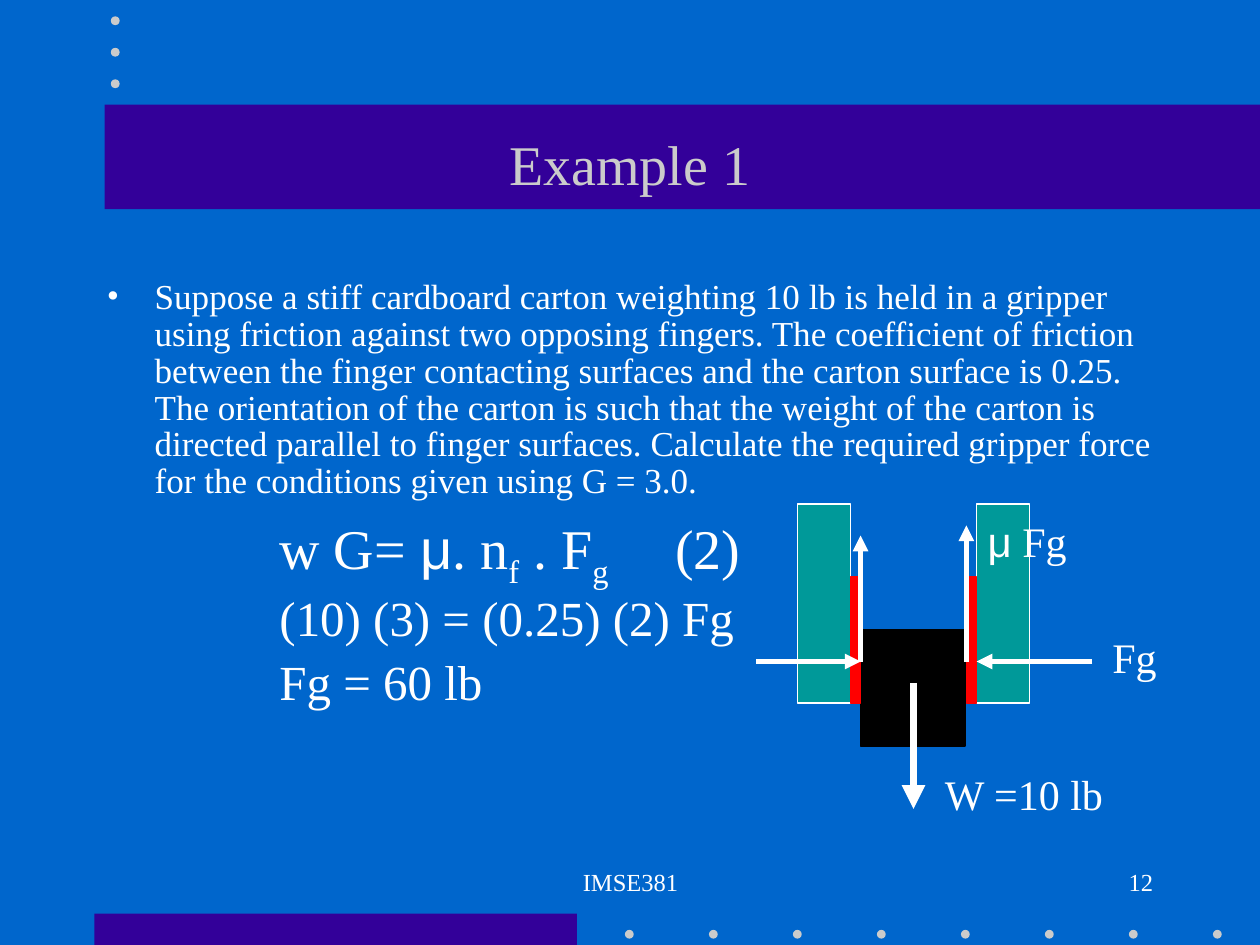
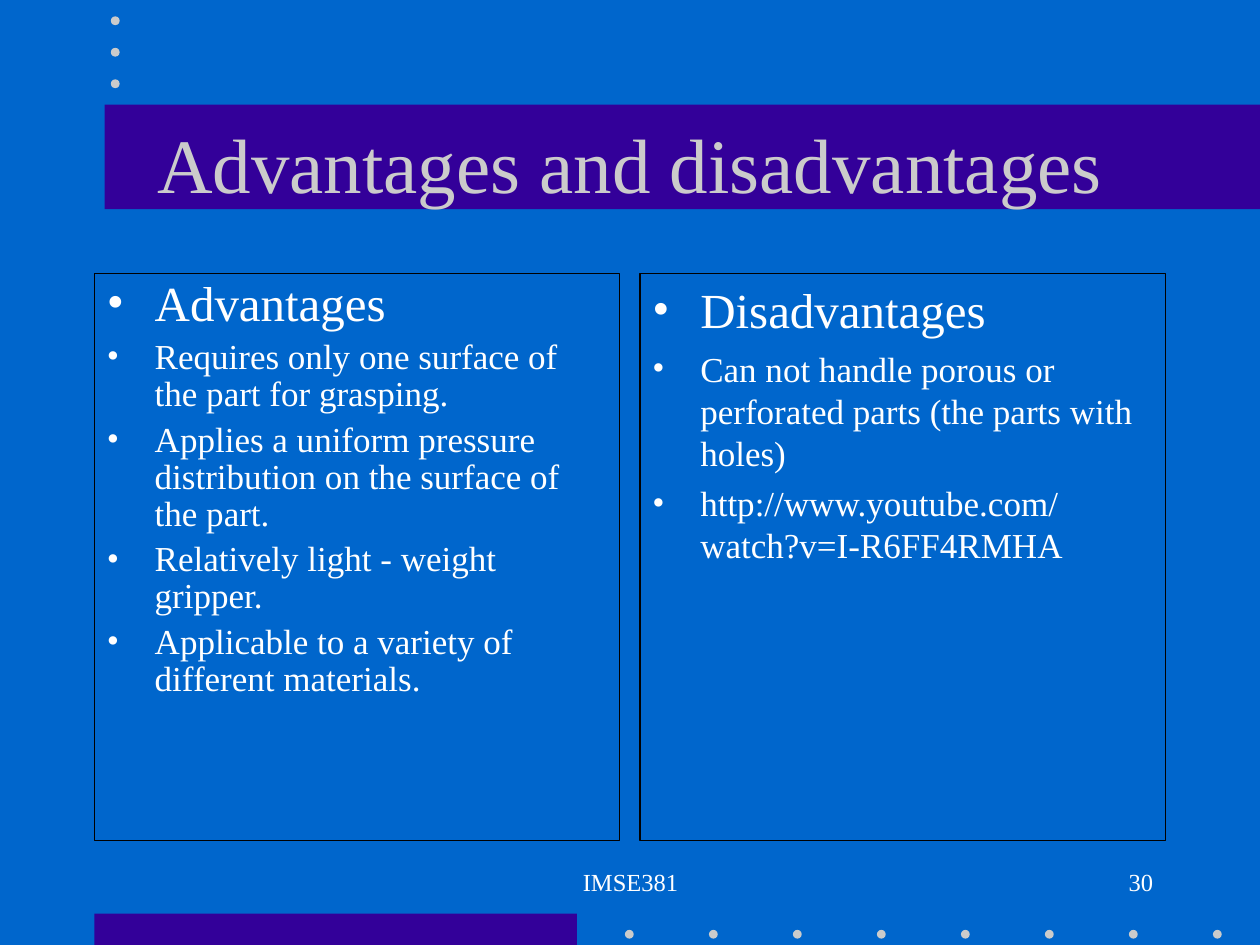
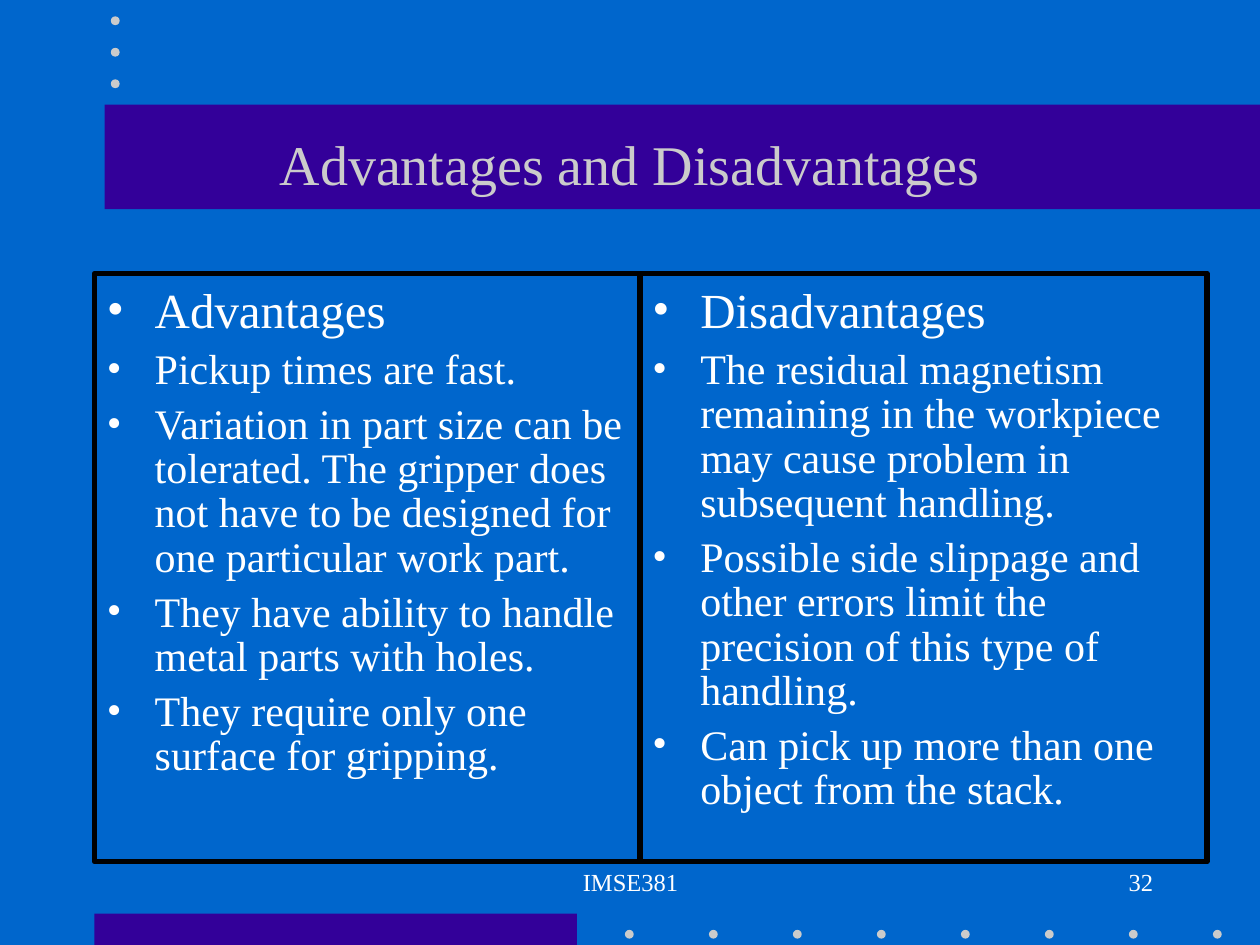
from lxml import etree
from pptx import Presentation
from pptx.dml.color import RGBColor
from pptx.enum.shapes import MSO_CONNECTOR, MSO_SHAPE
from pptx.enum.text import MSO_ANCHOR, MSO_AUTO_SIZE, PP_ALIGN
from pptx.oxml.ns import qn
from pptx.util import Inches, Pt

RECT, OVAL = MSO_SHAPE.RECTANGLE, MSO_SHAPE.OVAL
LINE = MSO_CONNECTOR.STRAIGHT
LEFT, MID, RIGHT = PP_ALIGN.LEFT, PP_ALIGN.CENTER, PP_ALIGN.RIGHT
MIDDLE, FIXED = MSO_ANCHOR.MIDDLE, MSO_AUTO_SIZE.NONE

HUE = {"back": "0066CC", "band": "330099", "dot": "CBCBCB", "text": "FFFFFF",
       "jaw": "009999", "pad": "FF0000", "black": "000000"}
FACE, GREEK = "Times New Roman", "Arial"
TIGHT = 0.88
INDENT = 0.38
EQ_TABS = (1.37, 4.51)


def color(name):
    return RGBColor.from_string(HUE[name])


def style(font, size, hue="text"):
    font.name, font.size = FACE, Pt(size)
    font.color.rgb = color(hue)


def shape(slide, kind, x, y, w, h, fill, edge=None):
    item = slide.shapes.add_shape(kind, Inches(x), Inches(y), Inches(w), Inches(h))
    item.shadow.inherit = False
    item.fill.solid()
    item.fill.fore_color.rgb = color(fill)
    if edge:
        item.line.color.rgb = color(edge)
        item.line.width = Pt(1)
    else:
        item.line.fill.background()
    return item


def arrow(slide, x1, y1, x2, y2, width=3):
    item = slide.shapes.add_connector(LINE, Inches(x1), Inches(y1), Inches(x2), Inches(y2))
    item.line.color.rgb = color("text")
    item.line.width = Pt(width)
    etree.SubElement(item.line._get_or_add_ln(), qn("a:tailEnd"), type="triangle")
    etree.SubElement(item.element.spPr, qn("a:effectLst"))


def textbox(slide, x, y, w, h, wrap=True):
    item = slide.shapes.add_textbox(Inches(x), Inches(y), Inches(w), Inches(h))
    item.text_frame.word_wrap = wrap
    return item


def add_runs(para, runs):
    """Each run is a string or a (string, kind) pair."""
    for part in runs:
        text, kind = (part, None) if isinstance(part, str) else part
        run = para.add_run()
        run.text = text
        if kind == "greek":
            run.font.name = GREEK
        elif kind == "sub":
            run.font._element.set("baseline", "-25000")


def label(slide, x, y, w, runs, size=24, align=LEFT, wrap=False):
    para = textbox(slide, x, y, w, 0.5, wrap).text_frame.paragraphs[0]
    para.alignment = align
    style(para.font, size)
    add_runs(para, runs)


def next_para(frame, space):
    para = frame.paragraphs[0]
    if para.runs:
        para = frame.add_paragraph()
        para.space_before = Pt(space)
    return para


def bullet(frame, text, size, space, tight):
    para = next_para(frame, space)
    if tight:
        para.line_spacing = TIGHT
    props = para._p.get_or_add_pPr()
    props.set("marL", str(Inches(INDENT)))
    props.set("indent", str(-Inches(INDENT)))
    tint = etree.SubElement(props, qn("a:buClr"))
    etree.SubElement(tint, qn("a:srgbClr"), val=HUE["text"])
    etree.SubElement(props, qn("a:buFont"), typeface=FACE)
    etree.SubElement(props, qn("a:buChar"), char="•")
    style(para.font, size)
    add_runs(para, [text])


def formula(frame, runs, size, space):
    para = next_para(frame, space)
    para.line_spacing = TIGHT
    stops = etree.SubElement(para._p.get_or_add_pPr(), qn("a:tabLst"))
    for stop in EQ_TABS:
        etree.SubElement(stops, qn("a:tab"), pos=str(Inches(stop)), algn="l")
    style(para.font, size)
    add_runs(para, runs)


def trim(layout, slide):
    """Move the bands and dots, drawn on a slide, to the shared layout."""
    for holder in list(layout.placeholders)[1:]:
        layout.shapes.element.remove(holder.element)
    parts = [shape(slide, RECT, 0.75, 7.25, 3.83, 0.25, "band"),
             shape(slide, RECT, 0.83, 0.83, 9.17, 0.83, "band")]
    spots = [(4.96 + i * 2 / 3, 7.38) for i in range(8)]
    spots += [(0.88, 0.13 + i * 0.25) for i in range(3)]
    parts += [shape(slide, OVAL, x, y, 0.07, 0.07, "dot") for x, y in spots]
    for part in parts:
        layout.shapes.element.append(part.element)


def frame_up(slide, title, size, number):
    """Title, footer and page number."""
    head = slide.shapes.title
    head.left, head.top = Inches(0.75), Inches(0.67)
    head.width, head.height = Inches(8.5), Inches(1.25)
    frame = head.text_frame
    frame.text = title
    frame.word_wrap = True
    frame.auto_size = FIXED
    frame.vertical_anchor = MIDDLE
    para = frame.paragraphs[0]
    para.alignment = MID
    style(para.font, size, "dot")
    label(slide, 3.42, 6.83, 3.17, ["IMSE381"], 14, MID, True)
    label(slide, 7.17, 6.83, 2.08, [str(number)], 14, RIGHT, True)


def problem(slide, x, y, w, h):
    """Problem statement and its solution."""
    frame = textbox(slide, x, y, w, h).text_frame
    bullet(frame, "Suppose a stiff cardboard carton weighting 10 lb is held in a gripper "
           "using friction against two opposing fingers. The coefficient of friction "
           "between the finger contacting surfaces and the carton surface is 0.25. "
           "The orientation of the carton is such that the weight of the carton is "
           "directed parallel to finger surfaces. Calculate the required gripper force "
           "for the conditions given using G = 3.0.", 20, 0, True)
    formula(frame, ["\tw G= ", ("μ", "greek"), ". n", ("f", "sub"), " . F",
                    ("g", "sub"), "\t(2)"], 32, 8)
    for text in ("(10) (3) = (0.25) (2) Fg", "Fg = 60 lb"):
        formula(frame, ["\t" + text], 28, 7)


def gripper(slide, x, y):
    """Carton between two fingers, with arrows."""
    # Fingers, carton and red strips
    for dx in (0.33, 1.75):
        shape(slide, RECT, x + dx, y, 0.42, 1.58, "jaw", "text")
    shape(slide, RECT, x + 0.83, y + 1, 0.83, 0.92, "black", "black")
    for dx in (0.75, 1.67):
        shape(slide, RECT, x + dx, y + 0.58, 0.08, 1, "pad", "pad")
    # Arrows
    grip = y + 1.25
    arrow(slide, x + 1.25, y + 1.42, x + 1.25, y + 2.42, 4.5)
    arrow(slide, x + 2.67, grip, x + 1.75, grip)
    arrow(slide, x, grip, x + 0.83, grip)
    arrow(slide, x + 1.67, grip, x + 1.67, y + 0.17)
    arrow(slide, x + 0.83, grip, x + 0.83, y + 0.25)
    # Labels
    label(slide, x + 1.4, y + 2.05, 1.46, ["W =10 lb"])
    label(slide, x + 2.73, y + 0.96, 0.55, ["Fg"])
    label(slide, x + 1.74, y + 0.04, 0.83, [("μ", "greek"), " Fg"])


def panel(slide, x, y, w, h, edge, head, points, size, space, tight=True, tight_head=False):
    """Outlined box with a heading and points."""
    box = textbox(slide, x, y, w, h)
    box.line.color.rgb = color("black")
    box.line.width = Pt(edge)
    bullet(box.text_frame, head, 28, 0, tight_head)
    for point in points:
        bullet(box.text_frame, point, size, space, tight)


def main():
    deck = Presentation()
    deck.slide_width, deck.slide_height = Inches(10), Inches(7.5)
    fill = deck.slide_master.background.fill
    fill.solid()
    fill.fore_color.rgb = color("back")
    layout = deck.slide_layouts[5]
    first, second, third = [deck.slides.add_slide(layout) for _ in range(3)]
    trim(layout, first)

    # Example
    frame_up(first, "Example 1", 32, 12)
    problem(first, 0.75, 2.17, 8.5, 4.5)
    gripper(first, 6, 4)

    # Panels with thin outlines
    frame_up(second, "Advantages and disadvantages", 44, 30)
    panel(second, 0.75, 2.17, 4.17, 4.5, 0.75, "Advantages", [
        "Requires only one surface of the part for grasping.",
        "Applies a uniform pressure distribution on the surface of the part.",
        "Relatively light - weight gripper.",
        "Applicable to a variety of different materials."], 20, 5, tight_head=True)
    panel(second, 5.08, 2.17, 4.17, 4.5, 0.75, "Disadvantages", [
        "Can not handle porous or perforated parts (the parts with holes)",
        "http://www.youtube.com/watch?v=I-R6FF4RMHA"], 20, 5, tight=False)

    # Panels with thick outlines
    frame_up(third, "Advantages and Disadvantages", 32, 32)
    panel(third, 0.75, 2.17, 4.33, 4.67, 3, "Advantages", [
        "Pickup times are fast.",
        "Variation in part size can be tolerated. The gripper does not have to be "
        "designed for one particular work part.",
        "They have ability to handle metal parts with holes.",
        "They require only one surface for gripping."], 24, 6)
    panel(third, 5.08, 2.17, 4.5, 4.67, 3, "Disadvantages", [
        "The residual magnetism remaining in the workpiece may cause problem in "
        "subsequent handling.",
        "Possible side slippage and other errors limit the precision of this type "
        "of handling.",
        "Can pick up more than one object from the stack."], 24, 6)

    deck.save("out.pptx")


if __name__ == "__main__":
    main()
